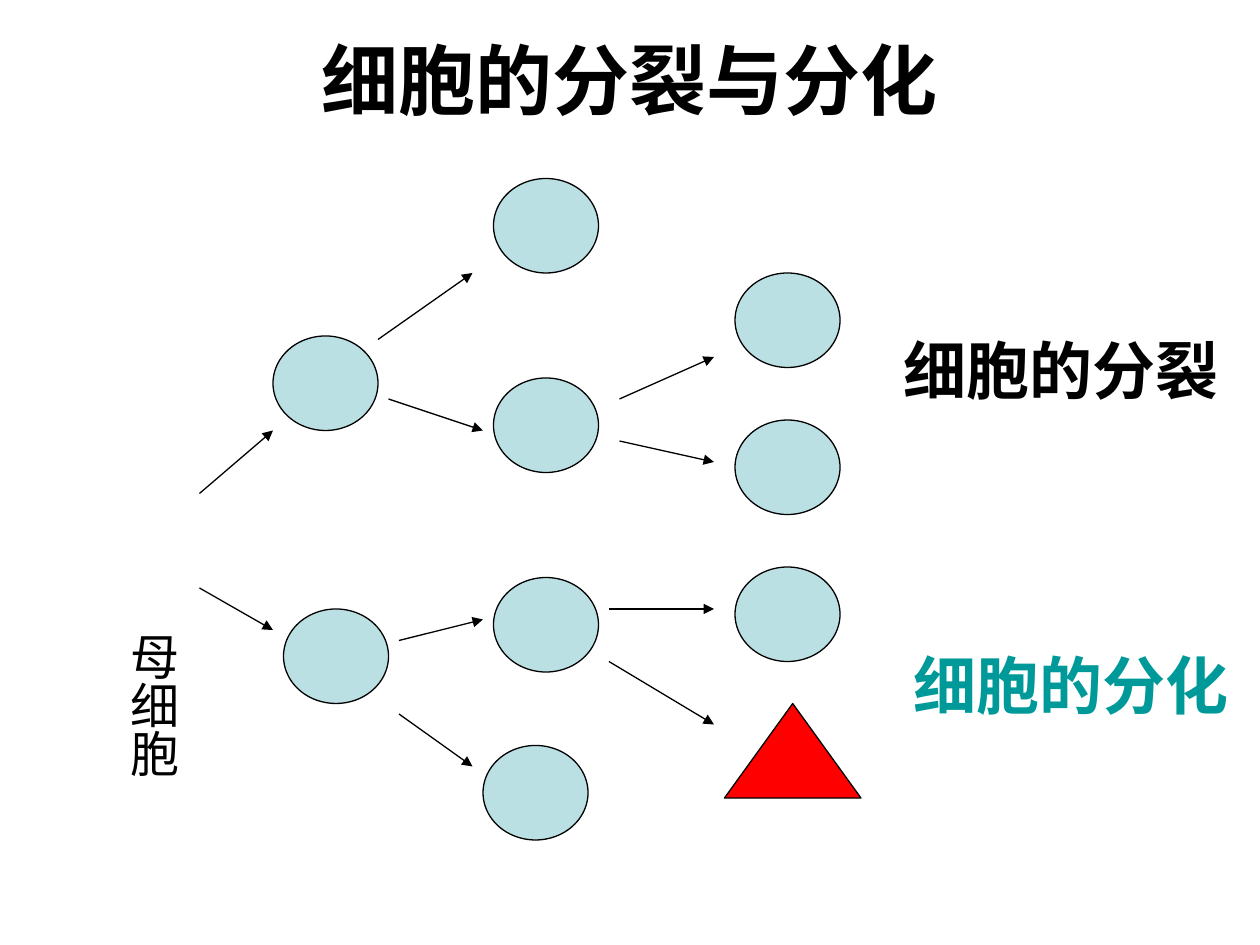
from dataclasses import dataclass

from lxml import etree
from pptx import Presentation
from pptx.dml.color import RGBColor
from pptx.enum.shapes import MSO_CONNECTOR, MSO_SHAPE
from pptx.enum.text import MSO_ANCHOR, PP_ALIGN
from pptx.oxml.ns import qn
from pptx.util import Pt

OVAL = MSO_SHAPE.OVAL
TRIANGLE = MSO_SHAPE.ISOSCELES_TRIANGLE
STRAIGHT = MSO_CONNECTOR.STRAIGHT
CENTER = PP_ALIGN.CENTER
TOP = MSO_ANCHOR.TOP
MIDDLE = MSO_ANCHOR.MIDDLE


@dataclass(frozen=True)
class Theme:
    ink: RGBColor = RGBColor(0x00, 0x00, 0x00)
    cell: RGBColor = RGBColor(0xBB, 0xE0, 0xE3)
    changed_cell: RGBColor = RGBColor(0xFF, 0x00, 0x00)
    accent: RGBColor = RGBColor(0x00, 0x99, 0x99)
    title_font: str = "Arial"
    body_font: str = "Times New Roman"
    title_size: int = 44
    label_size: int = 36
    note_size: int = 28
    line_width: float = 0.75


THEME = Theme()
CELL_SIZE = (60, 54)
CHANGED_CELL_SIZE = (78, 54)

# Offsets from the top left corner of the diagram
FIRST_GENERATION = [(42, 90), (48, 246)]
SECOND_GENERATION = [(168, 0), (168, 114), (168, 228), (162, 324)]
THIRD_GENERATION = [(306, 54), (306, 138), (306, 222)]
CHANGED_CELL = (300, 300)
ARROWS = [
    ((0, 180), (42, 144)),
    ((0, 234), (42, 258)),
    ((102, 92), (156, 54)),
    ((108, 126), (162, 144)),
    ((114, 264), (162, 252)),
    ((114, 306), (156, 336)),
    ((240, 126), (294, 102)),
    ((240, 150), (294, 162)),
    ((234, 246), (294, 246)),
    ((234, 276), (294, 312)),
]


def add_text(slide, box, text, size, font, color, bold=True, anchor=TOP):
    text_box = slide.shapes.add_textbox(*map(Pt, box))
    frame = text_box.text_frame
    frame.word_wrap = True
    frame.vertical_anchor = anchor
    frame.text = text
    paragraph = frame.paragraphs[0]
    paragraph.alignment = CENTER
    run_font = paragraph.runs[0].font
    run_font.name = font
    run_font.size = Pt(size)
    run_font.bold = bold
    run_font.color.rgb = color
    return frame


def add_vertical_text(slide, box, text):
    """Place East Asian vertical text, with the insets turned to match."""
    frame = add_text(slide, box, text, THEME.note_size, THEME.body_font,
                     THEME.ink, bold=False)
    frame.word_wrap = False
    frame.margin_left = frame.margin_right = Pt(3.6)
    frame.margin_top = frame.margin_bottom = Pt(7.2)
    frame._txBody.find(qn("a:bodyPr")).set("vert", "eaVert")


def add_cell(slide, kind, position, size, color):
    shape = slide.shapes.add_shape(kind, *map(Pt, position + size))
    shape.shadow.inherit = False
    shape.fill.solid()
    shape.fill.fore_color.rgb = color
    shape.line.color.rgb = THEME.ink
    shape.line.width = Pt(THEME.line_width)


def add_arrow(slide, start, end):
    arrow = slide.shapes.add_connector(STRAIGHT, *map(Pt, start + end))
    arrow.line.color.rgb = THEME.ink
    arrow.line.width = Pt(THEME.line_width)
    properties = arrow._element.spPr
    etree.SubElement(properties.find(qn("a:ln")), qn("a:tailEnd"), type="triangle")
    etree.SubElement(properties, qn("a:effectLst"))


def add_division_tree(slide, left, top):
    def place(offset):
        return left + offset[0], top + offset[1]

    for offset in FIRST_GENERATION + SECOND_GENERATION + THIRD_GENERATION:
        add_cell(slide, OVAL, place(offset), CELL_SIZE, THEME.cell)
    add_cell(slide, TRIANGLE, place(CHANGED_CELL), CHANGED_CELL_SIZE,
             THEME.changed_cell)
    for start, end in ARROWS:
        add_arrow(slide, place(start), place(end))


def main():
    presentation = Presentation()
    presentation.slide_width = Pt(720)
    presentation.slide_height = Pt(540)
    slide = presentation.slides.add_slide(presentation.slide_layouts[6])

    add_text(slide, (36, 0, 648, 90), "细胞的分裂与分化", THEME.title_size,
             THEME.title_font, THEME.ink, anchor=MIDDLE)
    add_division_tree(slide, 114, 102)
    for box, text, color in [
        ((492, 186, 228, 50.4), "细胞的分裂", THEME.ink),
        ((504, 366, 216, 50.4), "细胞的分化", THEME.accent),
    ]:
        add_text(slide, box, text, THEME.label_size, THEME.body_font, color)
    add_vertical_text(slide, (60.5, 354, 47.5, 91.5), "母细胞")

    presentation.save("out.pptx")


if __name__ == "__main__":
    main()
